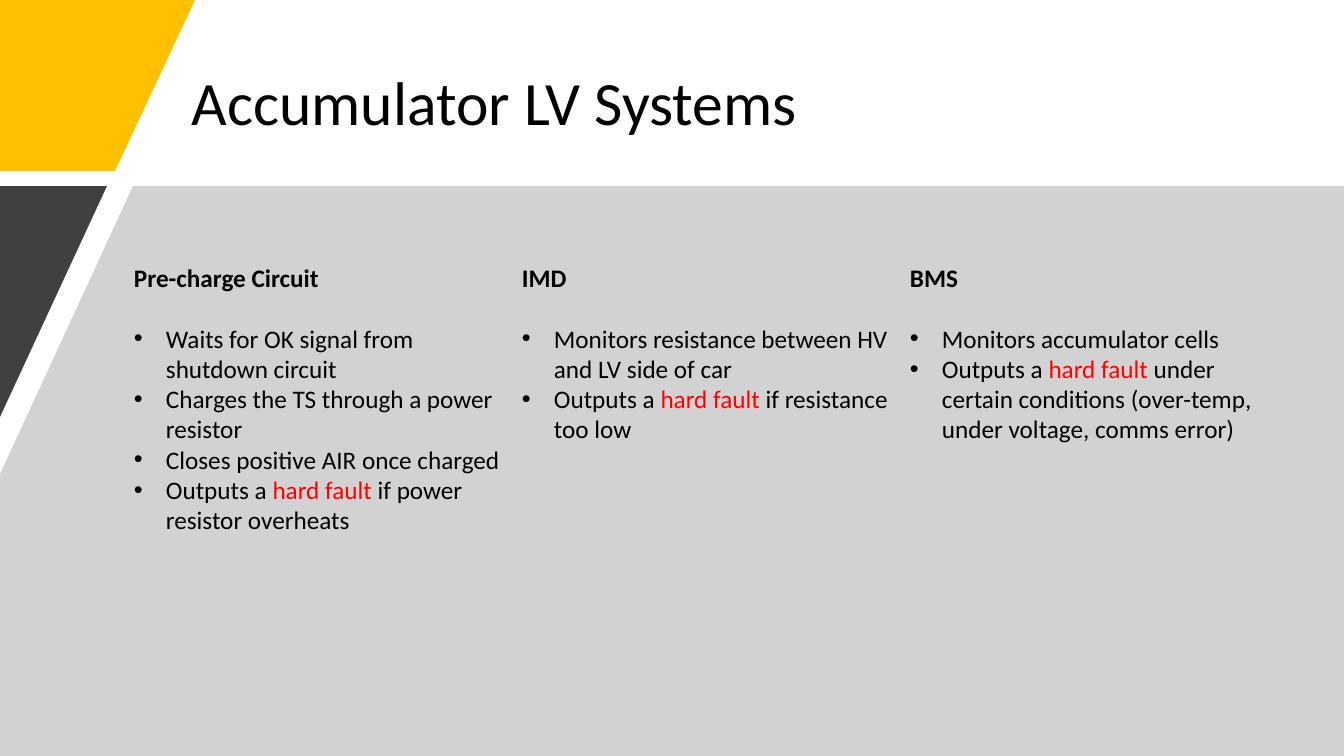
from lxml import etree
from pptx import Presentation
from pptx.dml.color import RGBColor
from pptx.enum.text import MSO_ANCHOR
from pptx.oxml.ns import qn
from pptx.util import Pt

PX = 914400 / 100.8
MIDDLE, TOP = MSO_ANCHOR.MIDDLE, MSO_ANCHOR.TOP
FONT = "Calibri"
COLORS = {"text": "000000", "fault": "FF0000", "corner": "FFC000",
          "panel": "A6A6A6", "wedge": "404040"}

COLUMN_LEFT, COLUMN_TOP, COLUMN_WIDTH = 124, 257, 388
BULLET_INDENT = 32
FAULT = ("hard fault ", "fault")
# Each bullet is a list of (text, color name) spans
COLUMNS = [
    ("Pre-charge Circuit", 285, [
        [("Waits for OK signal from shutdown circuit", "text")],
        [("Charges the TS through a power resistor", "text")],
        [("Closes positive AIR once charged", "text")],
        [("Outputs a ", "text"), FAULT, ("if power resistor overheats", "text")],
    ]),
    ("IMD", 194, [
        [("Monitors resistance between HV and LV side of car", "text")],
        [("Outputs a ", "text"), FAULT, ("if resistance too low", "text")],
    ]),
    ("BMS", 194, [
        [("Monitors accumulator cells", "text")],
        [("Outputs a ", "text"), FAULT,
         ("under certain conditions (over-temp, under voltage, comms error)", "text")],
    ]),
]


def emu(px):
    return round(px * PX)


def add_polygon(page, points, color, alpha=100):
    builder = page.shapes.build_freeform(*points[0], scale=PX)
    builder.add_line_segments(points[1:], close=True)
    shape = builder.convert_to_shape()
    shape.shadow.inherit = False
    shape.line.fill.background()
    shape.fill.solid()
    shape.fill.fore_color.rgb = RGBColor.from_string(COLORS[color])
    if alpha < 100:
        fill_color = shape.element.spPr.find(".//" + qn("a:srgbClr"))
        etree.SubElement(fill_color, qn("a:alpha"), val=str(alpha * 1000))


def add_box(page, left, top, width, height, anchor=TOP):
    box = page.shapes.add_textbox(emu(left), emu(top), emu(width), emu(height))
    frame = box.text_frame
    frame.word_wrap = True
    frame.vertical_anchor = anchor
    return frame


def add_span(para, text, size=18, color="text", bold=False):
    span = para.add_run()
    span.text = text
    span.font.name = FONT
    span.font.size = Pt(size)
    span.font.bold = bold
    span.font.color.rgb = RGBColor.from_string(COLORS[color])


def add_bullet(frame, spans):
    para = frame.add_paragraph()
    for text, color in spans:
        add_span(para, text, color=color)
    properties = para._p.get_or_add_pPr()
    properties.set("marL", str(emu(BULLET_INDENT)))
    properties.set("indent", str(-emu(BULLET_INDENT)))
    etree.SubElement(properties, qn("a:buFont"), typeface="Arial")
    etree.SubElement(properties, qn("a:buChar"), char="•")


def add_column(page, left, heading, height, bullets):
    frame = add_box(page, left, COLUMN_TOP, COLUMN_WIDTH, height)
    para = frame.paragraphs[0]
    para.space_after = Pt(22)
    add_span(para, heading, bold=True)
    for spans in bullets:
        add_bullet(frame, spans)


def main():
    deck = Presentation()
    deck.slide_width, deck.slide_height = emu(1344), emu(756)
    page = deck.slides.add_slide(deck.slide_layouts[6])

    # Title
    title = add_box(page, 182, 40, 1032, 131, anchor=MIDDLE)
    title.paragraphs[0].line_spacing = 0.9
    add_span(title.paragraphs[0], "Accumulator LV Systems", size=44)

    # Slanted background
    add_polygon(page, [(0, 0), (195, 0), (115, 171), (0, 171)], "corner")
    add_polygon(page, [(133, 186), (1344, 186), (1344, 756), (0, 756), (0, 474)],
                "panel", alpha=50)
    add_polygon(page, [(0, 186), (107, 186), (0, 417)], "wedge")

    # Three columns
    for index, (heading, height, bullets) in enumerate(COLUMNS):
        add_column(page, COLUMN_LEFT + index * COLUMN_WIDTH, heading, height, bullets)

    deck.save("out.pptx")


if __name__ == "__main__":
    main()
